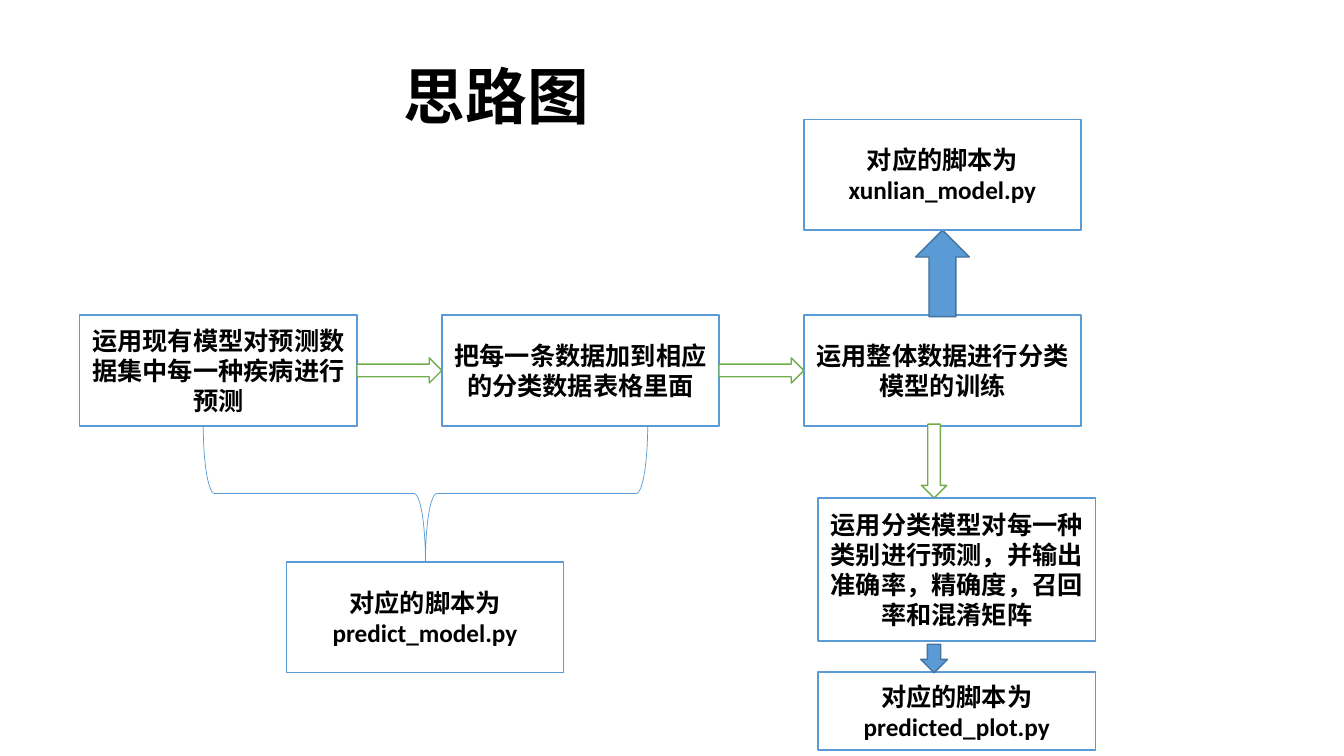
from dataclasses import dataclass

from pptx import Presentation
from pptx import util as u
from pptx.dml.color import RGBColor
from pptx.enum import shapes, text

COLS, ROWS = 160, 90  # grid of square cells over the slide


@dataclass(frozen=True)
class Theme:
    font: str = "Calibri"
    title_size: int = 44
    body_size: int = 18
    ink: str = "000000"
    paper: str = "FFFFFF"
    blue: str = "5B9BD5"
    dark_blue: str = "43739E"
    green: str = "70AD47"


class Board:
    """Holds the theme and the current slide; lengths are grid cells."""

    def __init__(self, prs, theme):
        self.theme = theme
        self.s = prs.slides.add_slide(prs.slide_layouts[6])
        self.cell_w = prs.slide_width / COLS
        self.cell_h = prs.slide_height / ROWS

    def place(self, x, y, w, h):
        return (u.Emu(round(x * self.cell_w)), u.Emu(round(y * self.cell_h)),
                u.Emu(round(w * self.cell_w)), u.Emu(round(h * self.cell_h)))

    def label(self, sp, words, size):
        tf = sp.text_frame
        tf.text = words
        tf.word_wrap = True
        tf.vertical_anchor = text.MSO_ANCHOR.MIDDLE
        p = tf.paragraphs[0]
        p.alignment = text.PP_ALIGN.CENTER
        font = p.runs[0].font
        font.name, font.size, font.bold = self.theme.font, u.Pt(size), True
        font.color.rgb = RGBColor.from_string(self.theme.ink)
        return p

    def title(self, words, *box):
        sp = self.s.shapes.add_textbox(*self.place(*box))
        self.label(sp, words, self.theme.title_size).line_spacing = 0.9

    def shape(self, kind, box, line, fill=None, weight=1, turn=0):
        sp = self.s.shapes.add_shape(kind, *self.place(*box))
        sp.shadow.inherit = False
        sp.rotation = turn
        if fill:
            sp.fill.solid()
            sp.fill.fore_color.rgb = RGBColor.from_string(fill)
        else:
            sp.fill.background()
        sp.line.color.rgb = RGBColor.from_string(line)
        sp.line.width = u.Pt(weight)
        return sp

    def box(self, words, x, y, h):
        sp = self.shape(shapes.MSO_SHAPE.RECTANGLE, (x, y, BOX_W, h),
                        self.theme.blue, self.theme.paper)
        self.label(sp, words, self.theme.body_size)

    def flow_arrow(self, x, y, length, turn=0):
        self.shape(shapes.MSO_SHAPE.RIGHT_ARROW, (x, y, length, 3),
                   self.theme.green, self.theme.paper, turn=turn)

    def script_arrow(self, kind, *box):
        self.shape(kind, box, self.theme.dark_blue, self.theme.blue)

    def brace(self, *box):
        self.shape(shapes.MSO_SHAPE.LEFT_BRACE, box, self.theme.blue,
                   weight=0.5, turn=270)


# Layout rules, in grid cells
BOX_W, BOX_H, GAP = 33, 13.2, 10.1
LEFT, FLOW_Y = 9.5, 37.5
PITCH = BOX_W + GAP
TRAIN_X = LEFT + 2 * PITCH
RESULT_X, RESULT_Y, RESULT_H = 97.4, 59.3, 17

prs = Presentation()
prs.slide_width, prs.slide_height = u.Inches(13.33), u.Inches(7.5)
b = Board(prs, Theme())

b.title("思路图", 5.6, 3.1, 107, 17.4)

# Main flow, left to right
steps = ["运用现有模型对预测数据集中每一种疾病进行预测",
         "把每一条数据加到相应的分类数据表格里面",
         "运用整体数据进行分类模型的训练"]
for i, step in enumerate(steps):
    x = LEFT + i * PITCH
    b.box(step, x, FLOW_Y, BOX_H)
    if i < len(steps) - 1:
        b.flow_arrow(x + BOX_W, FLOW_Y + (BOX_H - 3) / 2, GAP)

# Prediction and metrics below the training step
b.flow_arrow(106.8, 53.4, 8.8, turn=90)
b.box("运用分类模型对每一种类别进行预测，并输出准确率，精确度，召回率和混淆矩阵",
      RESULT_X, RESULT_Y, RESULT_H)

# Script shared by the first two steps
b.brace(42.5, 32.3, 16.3, 52.9)
b.box("对应的脚本为predict_model.py", 34.1, 66.9, BOX_H)

# Script of the training step
b.script_arrow(shapes.MSO_SHAPE.UP_ARROW, 109, 27.4, 6.4, 10.3)
b.box("对应的脚本为xunlian_model.py", TRAIN_X, 14.2, BOX_H)

# Script of the metrics step
b.box("对应的脚本为predicted_plot.py", RESULT_X, 80, 9.3)
b.script_arrow(shapes.MSO_SHAPE.DOWN_ARROW, 109.6, 76.7, 3.2, 3.4)

prs.save("out.pptx")
